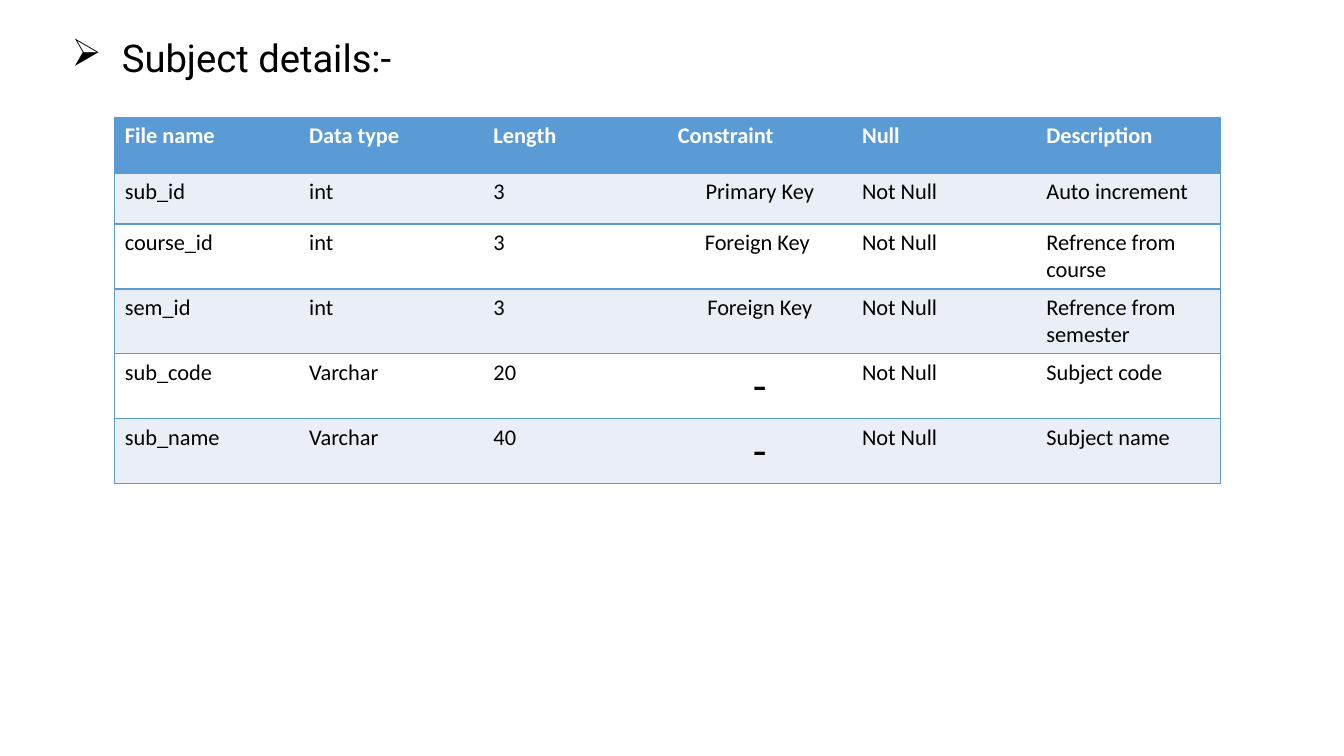
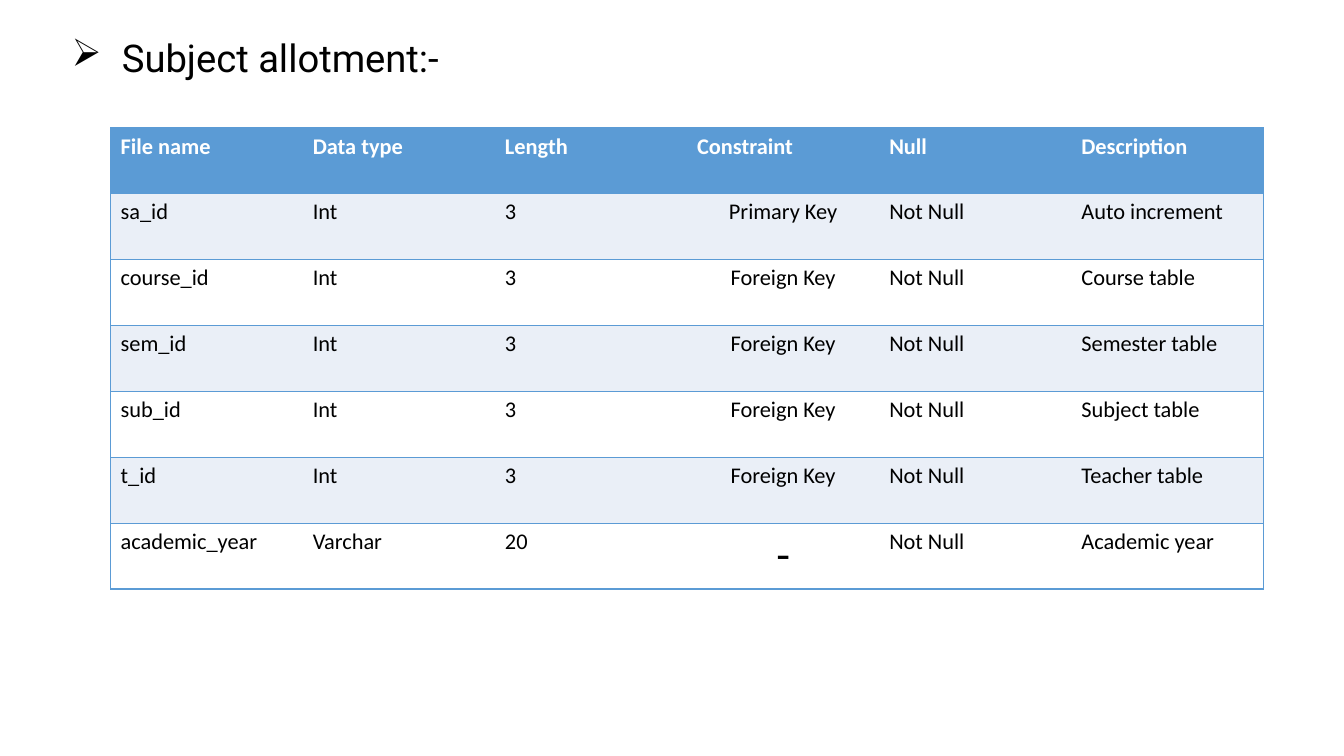
from lxml import etree
from pptx import Presentation
from pptx.dml.color import RGBColor
from pptx.enum.text import MSO_ANCHOR, MSO_AUTO_SIZE, PP_ALIGN
from pptx.oxml.ns import qn
from pptx.util import Pt

LEFT, CENTER = PP_ALIGN.LEFT, PP_ALIGN.CENTER
MIDDLE = MSO_ANCHOR.MIDDLE
NO_AUTOFIT = MSO_AUTO_SIZE.NONE
TITLE_ONLY = 5

BLUE, PALE, WHITE, BLACK = "5B9BD5", "EAEFF7", "FFFFFF", "000000"
TITLE_BOX = (43.9, 26.6, 828, 35.3)
HANGING = Pt(36)

HEADINGS = ("File name", "Data type", "Length", "Constraint", "Null", "Description")
CONSTRAINT = HEADINGS.index("Constraint")
PRIMARY, FOREIGN, UNKEYED, REQUIRED = "Primary Key", "Foreign Key", "-", "Not Null"

SUBJECT_FIELDS = [
    ("sub_id", "int", "3", PRIMARY, REQUIRED, "Auto increment"),
    ("course_id", "int", "3", "Foreign Key ", REQUIRED, "Refrence from course"),
    ("sem_id", "int", "3", FOREIGN, REQUIRED, "Refrence from semester"),
    ("sub_code", "Varchar", "20", UNKEYED, REQUIRED, "Subject code"),
    ("sub_name", "Varchar", "40", UNKEYED, REQUIRED, "Subject name"),
]
ALLOTMENT_FIELDS = [
    ("sa_id", "Int", "3", PRIMARY, REQUIRED, "Auto increment"),
    ("course_id", "Int", "3", FOREIGN, REQUIRED, "Course table"),
    ("sem_id", "Int", "3", FOREIGN, REQUIRED, "Semester table"),
    ("sub_id", "Int", "3", FOREIGN, REQUIRED, "Subject table"),
    ("t_id", "Int", "3", FOREIGN, REQUIRED, "Teacher table"),
    ("academic_year", "Varchar", "20", UNKEYED, REQUIRED, "Academic year"),
]


def color(value):
    return RGBColor.from_string(value)


def write(frame, text, font="Calibri", size=16, ink=BLACK, bold=False, align=LEFT):
    paragraph = frame.paragraphs[0]
    paragraph.alignment = align
    run = paragraph.add_run()
    run.text = text
    run.font.name = font
    run.font.size = Pt(size)
    run.font.bold = bold
    run.font.color.rgb = color(ink)
    return paragraph


def add_title(slide, text, box):
    title = slide.shapes.title
    title.left, title.top, title.width, title.height = map(Pt, box)
    frame = title.text_frame
    frame.word_wrap = True
    frame.auto_size = NO_AUTOFIT
    frame.vertical_anchor = MIDDLE
    heading = write(frame, text, font="Roboto", size=27.3)
    heading.line_spacing = 0.8
    properties = heading._p.get_or_add_pPr()
    properties.set("marL", str(HANGING))
    properties.set("indent", str(-HANGING))
    etree.SubElement(properties, qn("a:buChar")).set("char", "➢")


def set_borders(cell, visible_edges):
    properties = cell._tc.get_or_add_tcPr()
    for edge in "LRTB":
        line = etree.SubElement(properties, qn(f"a:ln{edge}"))
        if edge in visible_edges:
            line.set("w", str(Pt(1)))
            fill = etree.SubElement(line, qn("a:solidFill"))
            etree.SubElement(fill, qn("a:srgbClr")).set("val", BLUE)
        else:
            etree.SubElement(line, qn("a:noFill"))


def add_field_table(slide, fields, left, top, width, row_heights):
    records = [HEADINGS, *fields]
    last = len(HEADINGS) - 1
    table = slide.shapes.add_table(
        len(records), len(HEADINGS), Pt(left), Pt(top), Pt(width), Pt(sum(row_heights))
    ).table
    for column in table.columns:
        column.width = Pt(width / len(HEADINGS))
    for r, (record, height) in enumerate(zip(records, row_heights)):
        table.rows[r].height = Pt(height)
        header = r == 0
        for c, text in enumerate(record):
            cell = table.cell(r, c)
            set_borders(cell, "TB" + ("L" if c == 0 else "R" if c == last else ""))
            cell.fill.solid()
            cell.fill.fore_color.rgb = color(BLUE if header else PALE if r % 2 else WHITE)
            write(
                cell.text_frame,
                text,
                size=32 if text == UNKEYED else 16,
                ink=WHITE if header else BLACK,
                bold=header,
                align=CENTER if c == CONSTRAINT and not header else LEFT,
            )


def add_field_slide(deck, title, fields, left, top, width, row_heights):
    slide = deck.slides.add_slide(deck.slide_layouts[TITLE_ONLY])
    add_title(slide, title, TITLE_BOX)
    add_field_table(slide, fields, left, top, width, row_heights)


def main():
    deck = Presentation()
    deck.slide_width, deck.slide_height = Pt(960), Pt(540)
    add_field_slide(deck, "Subject details:-", SUBJECT_FIELDS,
                    82, 83.7, 790, [40, 36.3] + [46.4] * 4)
    add_field_slide(deck, "Subject allotment:-", ALLOTMENT_FIELDS,
                    79, 91.2, 823.6, [47.1] * 7)
    deck.save("out.pptx")


if __name__ == "__main__":
    main()
